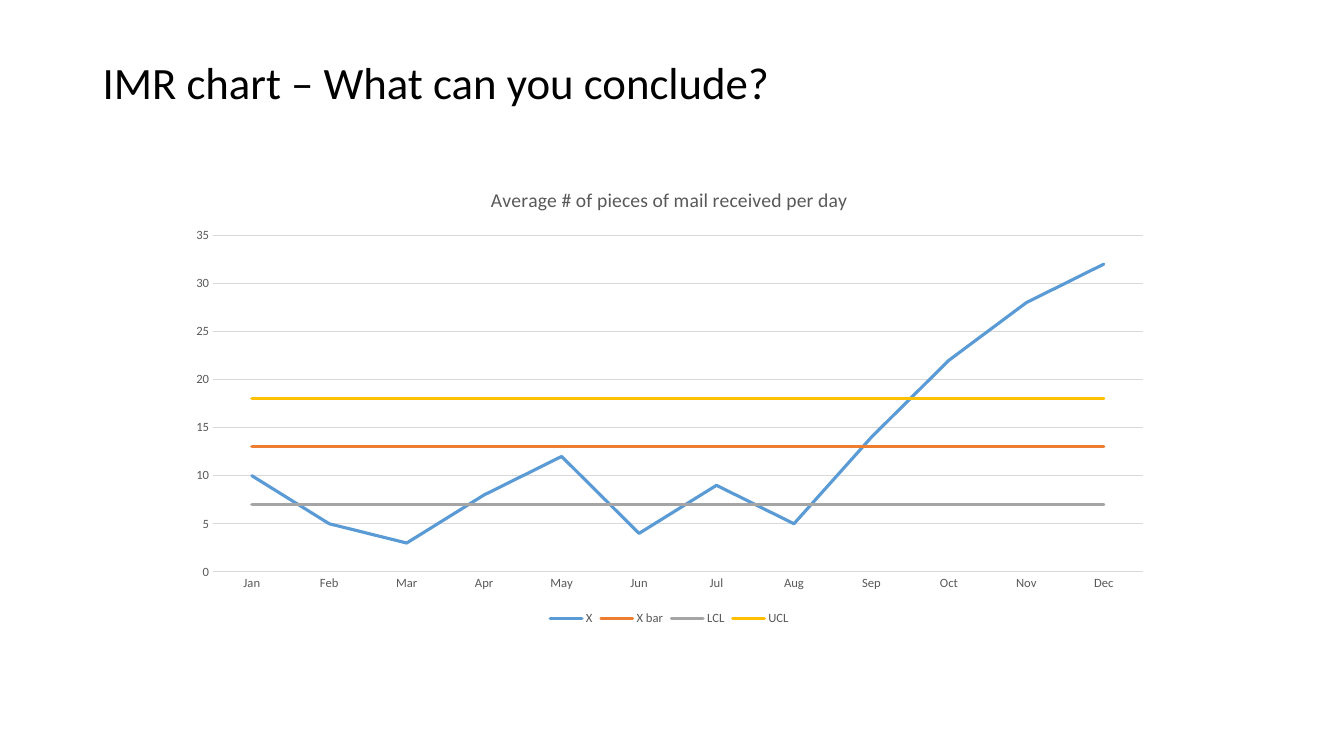
from dataclasses import dataclass

from pptx import Presentation
from pptx import util as u
from pptx.chart import data
from pptx.dml import color as dml
from pptx.enum import chart as ch, text

HEADLINE = "IMR chart – What can you conclude?"
CAPTION = "Average # of pieces of mail received per day"
MONTHS = ["Jan", "Feb", "Mar", "Apr", "May", "Jun",
          "Jul", "Aug", "Sep", "Oct", "Nov", "Dec"]
MAIL = [10, 5, 3, 8, 12, 4, 9, 5, 14, 22, 28, 32]
LIMITS = {"X bar": 13, "LCL": 7, "UCL": 18}


@dataclass(frozen=True)
class Theme:
    font: str = "Calibri"
    ink: str = "000000"
    label: str = "595959"
    rule: str = "D9D9D9"
    series: tuple = ("5B9BD5", "ED7D31", "A5A5A5", "FFC000")
    headline_size: float = 32
    caption_size: float = 14
    base_size: float = 10
    label_size: float = 9
    rule_width: float = 0.75
    series_width: float = 2.25


THEME = Theme()


def style_font(font, size, color):
    font.name = THEME.font
    font.size = u.Pt(size)
    font.bold = False
    font.color.rgb = dml.RGBColor.from_string(color)


def style_line(line, color, width):
    line.color.rgb = dml.RGBColor.from_string(color)
    line.width = u.Pt(width)


def add_headline(slide):
    headline = slide.shapes.title
    headline.left, headline.top = u.Cm(2.33), u.Cm(1.02)
    headline.width, headline.height = u.Cm(29.21), u.Cm(2.26)
    frame = headline.text_frame
    frame.word_wrap = True
    frame.vertical_anchor = text.MSO_ANCHOR.MIDDLE
    paragraph = frame.paragraphs[0]
    paragraph.alignment = text.PP_ALIGN.LEFT
    paragraph.line_spacing = 0.9
    run = paragraph.add_run()
    run.text = HEADLINE
    style_font(run.font, THEME.headline_size, THEME.ink)


def add_control_chart(slide):
    readings = data.CategoryChartData()
    readings.categories = MONTHS
    readings.add_series("X", MAIL)
    for name, level in LIMITS.items():
        readings.add_series(name, [level] * len(MONTHS))
    control = slide.shapes.add_chart(
        ch.XL_CHART_TYPE.LINE,
        u.Cm(4.45), u.Cm(4.24), u.Cm(24.84), u.Cm(11.63), readings
    ).chart
    style_font(control.font, THEME.base_size, THEME.ink)

    control.has_title = True
    caption = control.chart_title
    caption.include_in_layout = False
    run = caption.text_frame.paragraphs[0].add_run()
    run.text = CAPTION
    style_font(run.font, THEME.caption_size, THEME.label)

    control.has_legend = True
    control.legend.position = ch.XL_LEGEND_POSITION.BOTTOM
    control.legend.include_in_layout = False
    style_font(control.legend.font, THEME.label_size, THEME.label)

    months, pieces = control.category_axis, control.value_axis
    for axis in (months, pieces):
        axis.major_tick_mark = ch.XL_TICK_MARK.NONE
        axis.minor_tick_mark = ch.XL_TICK_MARK.NONE
        style_font(axis.tick_labels.font, THEME.label_size, THEME.label)
    style_line(months.format.line, THEME.rule, THEME.rule_width)
    pieces.format.line.fill.background()
    pieces.minimum_scale, pieces.maximum_scale, pieces.major_unit = 0, 35, 5
    style_line(pieces.major_gridlines.format.line, THEME.rule, THEME.rule_width)

    control.plots[0].vary_by_categories = False
    for series, color in zip(control.plots[0].series, THEME.series):
        series.smooth = False
        series.marker.style = ch.XL_MARKER_STYLE.NONE
        style_line(series.format.line, color, THEME.series_width)
    for stroke in control.element.xpath(".//c:ser/c:spPr/a:ln"):
        stroke.set("cap", "rnd")


def main():
    deck = Presentation()
    deck.slide_width, deck.slide_height = u.Cm(33.87), u.Cm(19.05)
    slide = deck.slides.add_slide(deck.slide_layouts.get_by_name("Title Only"))
    add_headline(slide)
    add_control_chart(slide)
    deck.save("out.pptx")


if __name__ == "__main__":
    main()
